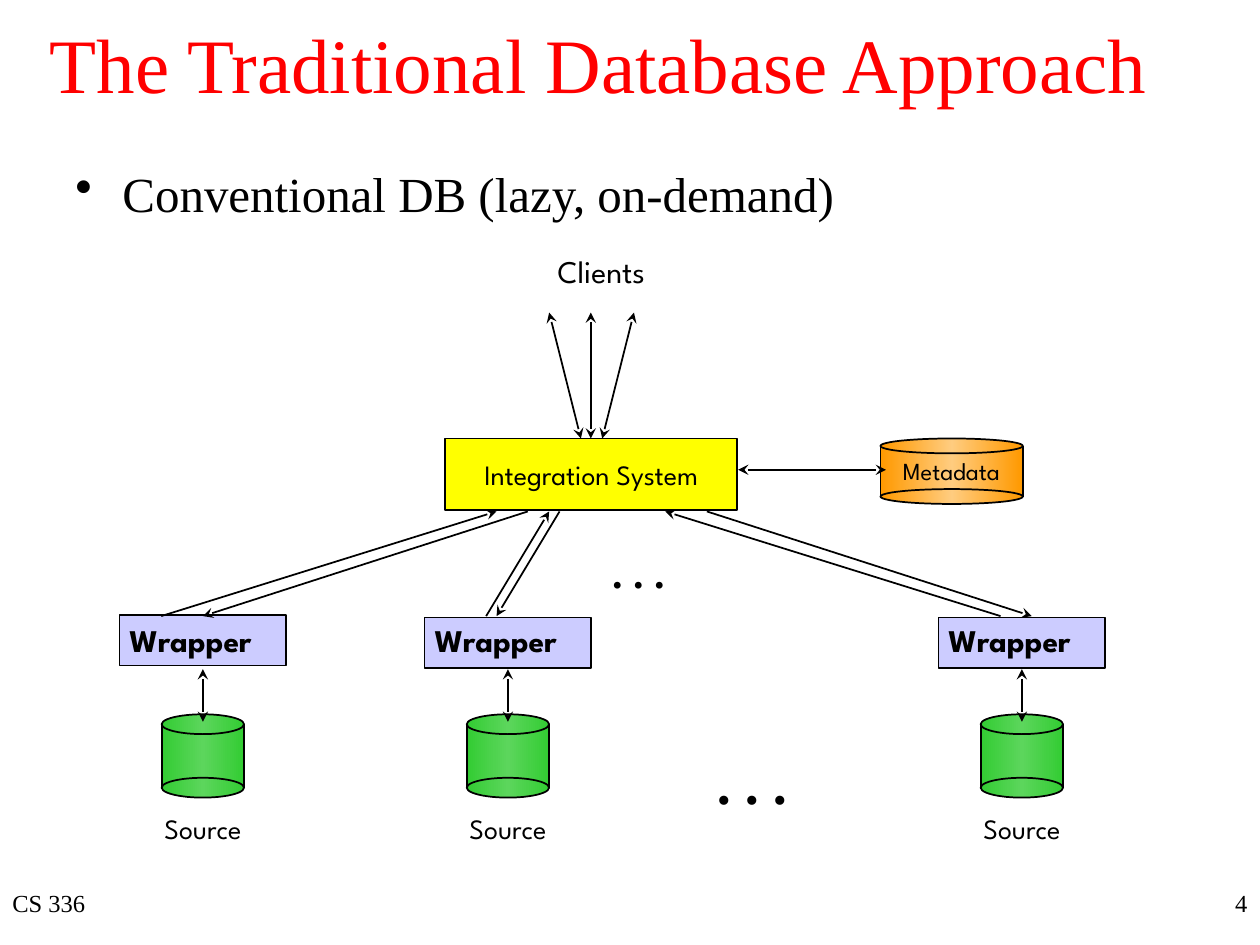
from dataclasses import dataclass

from lxml.etree import SubElement
from copy import deepcopy
from pptx import Presentation
from pptx.dml.color import RGBColor
from pptx.enum.shapes import MSO_CONNECTOR, MSO_SHAPE
from pptx.enum.text import MSO_ANCHOR, MSO_AUTO_SIZE, PP_ALIGN
from pptx.oxml.ns import qn
from pptx.util import Cm, Pt

BLACK = RGBColor(0x00, 0x00, 0x00)
WHITE = RGBColor(0xFF, 0xFF, 0xFF)
RED = RGBColor(0xFF, 0x00, 0x00)
YELLOW = RGBColor(0xFF, 0xFF, 0x00)
LAVENDER = RGBColor(0xCC, 0xCC, 0xFF)
GREEN = RGBColor(0x33, 0xCC, 0x33)
LIGHT_GREEN = RGBColor(0x5C, 0xD6, 0x5C)
ORANGE = RGBColor(0xFF, 0x99, 0x00)
LIGHT_ORANGE = RGBColor(0xFF, 0xCC, 0x7F)
SERIF = "Times New Roman"
SANS = "League Spartan"


# All positions and sizes below are in centimetres.
@dataclass
class Label:
    text: str
    left: float
    top: float
    width: float
    height: float
    size: int
    font: str = SERIF
    color: RGBColor = BLACK
    bold: bool = False
    align: PP_ALIGN = PP_ALIGN.LEFT
    anchor: MSO_ANCHOR = MSO_ANCHOR.TOP
    wrap: bool = False
    bullet: bool = False


@dataclass
class Arrow:
    x1: float
    y1: float
    x2: float
    y2: float
    head: bool = False
    tail: bool = True


@dataclass
class Cylinder:
    left: float
    top: float
    width: float
    height: float
    cap: float
    edge: RGBColor
    middle: RGBColor


@dataclass
class SourceColumn:
    center: float
    wrapper_top: float


def add_label(slide, label: Label) -> None:
    box = slide.shapes.add_textbox(
        Cm(label.left), Cm(label.top), Cm(label.width), Cm(label.height))
    frame = box.text_frame
    frame.text = label.text
    frame.word_wrap = label.wrap
    frame.auto_size = MSO_AUTO_SIZE.NONE if label.wrap else MSO_AUTO_SIZE.SHAPE_TO_FIT_TEXT
    frame.vertical_anchor = label.anchor
    paragraph = frame.paragraphs[0]
    paragraph.alignment = label.align
    if label.bullet:
        properties = paragraph._p.get_or_add_pPr()
        properties.set("marL", str(Cm(0.95)))
        properties.set("indent", str(-Cm(0.95)))
        SubElement(properties, qn("a:buChar")).set("char", "•")
    font = paragraph.runs[0].font
    font.name = label.font
    font.size = Pt(label.size)
    font.bold = label.bold
    font.color.rgb = label.color


def add_block(slide, kind: MSO_SHAPE, left: float, top: float, width: float,
              height: float, fill: RGBColor, middle: RGBColor | None = None,
              outline: RGBColor = BLACK) -> None:
    shape = slide.shapes.add_shape(kind, Cm(left), Cm(top), Cm(width), Cm(height))
    shape.shadow.inherit = False
    shape.line.color.rgb = outline
    shape.line.width = Pt(1)
    if middle is None:
        shape.fill.solid()
        shape.fill.fore_color.rgb = fill
        return
    shape.fill.gradient()
    shape.fill.gradient_angle = 0
    stop_list = next(shape.element.iter(qn("a:gsLst")))
    stop_list.append(deepcopy(stop_list[0]))
    colors = (fill, middle, fill)
    for stop, position, color in zip(shape.fill.gradient_stops, (0, 0.5, 1), colors):
        stop.position = position
        stop.color.rgb = color


def add_arrow(slide, arrow: Arrow) -> None:
    connector = slide.shapes.add_connector(
        MSO_CONNECTOR.STRAIGHT,
        Cm(arrow.x1), Cm(arrow.y1), Cm(arrow.x2), Cm(arrow.y2))
    connector.line.color.rgb = BLACK
    connector.line.width = Pt(1)
    line = connector.line._get_or_add_ln()
    for tag, wanted in (("a:headEnd", arrow.head), ("a:tailEnd", arrow.tail)):
        if wanted:
            SubElement(line, qn(tag)).set("type", "stealth")
    SubElement(connector.element.spPr, qn("a:effectLst"))


def add_cylinder(slide, drum: Cylinder) -> None:
    side_top = drum.top + drum.cap / 2
    side_bottom = drum.top + drum.height - drum.cap / 2
    add_block(slide, MSO_SHAPE.RECTANGLE, drum.left, side_top, drum.width,
              side_bottom - side_top, drum.edge, drum.middle, WHITE)
    for x in (drum.left, drum.left + drum.width):
        add_arrow(slide, Arrow(x, side_top, x, side_bottom, tail=False))
    for top in (drum.top, drum.top + drum.height - drum.cap):
        add_block(slide, MSO_SHAPE.OVAL, drum.left, top, drum.width, drum.cap,
                  drum.edge, drum.middle)


def add_source_column(slide, column: SourceColumn) -> None:
    center = column.center
    add_cylinder(slide, Cylinder(center - 0.83, 14.4, 1.66, 1.68, 0.4, GREEN, LIGHT_GREEN))
    add_label(slide, Label("Source", center - 1.17, 16.23, 2.34, 0.94, 16, SANS,
                           align=PP_ALIGN.CENTER))
    add_block(slide, MSO_SHAPE.RECTANGLE, center - 1.68, column.wrapper_top, 3.35, 1.02,
              LAVENDER)
    add_label(slide, Label("Wrapper", center - 1.73, 12.4, 3.28, 1.02, 18, SANS, bold=True))
    add_arrow(slide, Arrow(center, 13.49, center, 14.55, head=True))


LABELS = [
    Label("CS 336", 0, 17.78, 8.05, 1.27, 14, wrap=True),
    Label("4", 20.12, 17.78, 5.28, 1.27, 14, align=PP_ALIGN.RIGHT, wrap=True),
    Label("The Traditional Database Approach", 0.64, 0, 22.86, 2.54, 44, color=RED,
          align=PP_ALIGN.CENTER, anchor=MSO_ANCHOR.MIDDLE, wrap=True),
    Label("Conventional DB (lazy, on-demand)", 1.27, 3.18, 21.59, 1.91, 28,
          wrap=True, bullet=True),
    Label("Clients", 10.87, 4.95, 2.51, 1.02, 18, SANS, align=PP_ALIGN.CENTER),
    Label("Integration System", 9.14, 9.09, 5.56, 0.94, 16, SANS, align=PP_ALIGN.CENTER),
    Label("Metadata", 17.81, 9.07, 2.74, 0.84, 14, SANS, align=PP_ALIGN.CENTER),
    Label(". . .", 12.09, 10.9, 1.57, 1.27, 24, bold=True),
    Label(". . .", 14.2, 14.96, 1.93, 1.6, 32, bold=True),
]
COLUMNS = [SourceColumn(4.09, 12.4), SourceColumn(10.24, 12.45), SourceColumn(20.6, 12.45)]
SYSTEM_TOP, SYSTEM_BOTTOM, WRAPPER_EDGE = 8.84, 10.31, 12.42

# Wrapper end and system end of each answer, then of each request
ANSWERS = [(3.25, 10.01), (9.8, 11.07), (20.17, 13.41)]
REQUESTS = [(4.09, 10.64), (10.01, 11.28), (20.8, 14.25)]
# Client end and system end of each client link
CLIENT_LINKS = [(11.07, 11.71), (11.91, 11.91), (12.78, 12.14)]


def main() -> None:
    presentation = Presentation()
    presentation.slide_width = Cm(25.4)
    presentation.slide_height = Cm(19.05)
    slide = presentation.slides.add_slide(presentation.slide_layouts[6])

    # Sources with their wrappers
    for column in COLUMNS:
        add_source_column(slide, column)

    # Integration system and metadata store
    add_block(slide, MSO_SHAPE.RECTANGLE, 8.97, SYSTEM_TOP, 5.89, 1.45, YELLOW)
    add_cylinder(slide, Cylinder(17.75, 8.84, 2.87, 1.32, 0.3, ORANGE, LIGHT_ORANGE))
    add_arrow(slide, Arrow(14.88, 9.47, 17.86, 9.47, head=True))

    # Links between the layers
    for wrapper_x, system_x in ANSWERS:
        add_arrow(slide, Arrow(wrapper_x, WRAPPER_EDGE, system_x, SYSTEM_BOTTOM))
    for wrapper_x, system_x in REQUESTS:
        add_arrow(slide, Arrow(system_x, SYSTEM_BOTTOM, wrapper_x, WRAPPER_EDGE))
    for client_x, system_x in CLIENT_LINKS:
        add_arrow(slide, Arrow(client_x, 6.3, system_x, SYSTEM_TOP, head=True))

    # Texts
    for label in LABELS:
        add_label(slide, label)

    presentation.save("out.pptx")


if __name__ == "__main__":
    main()
